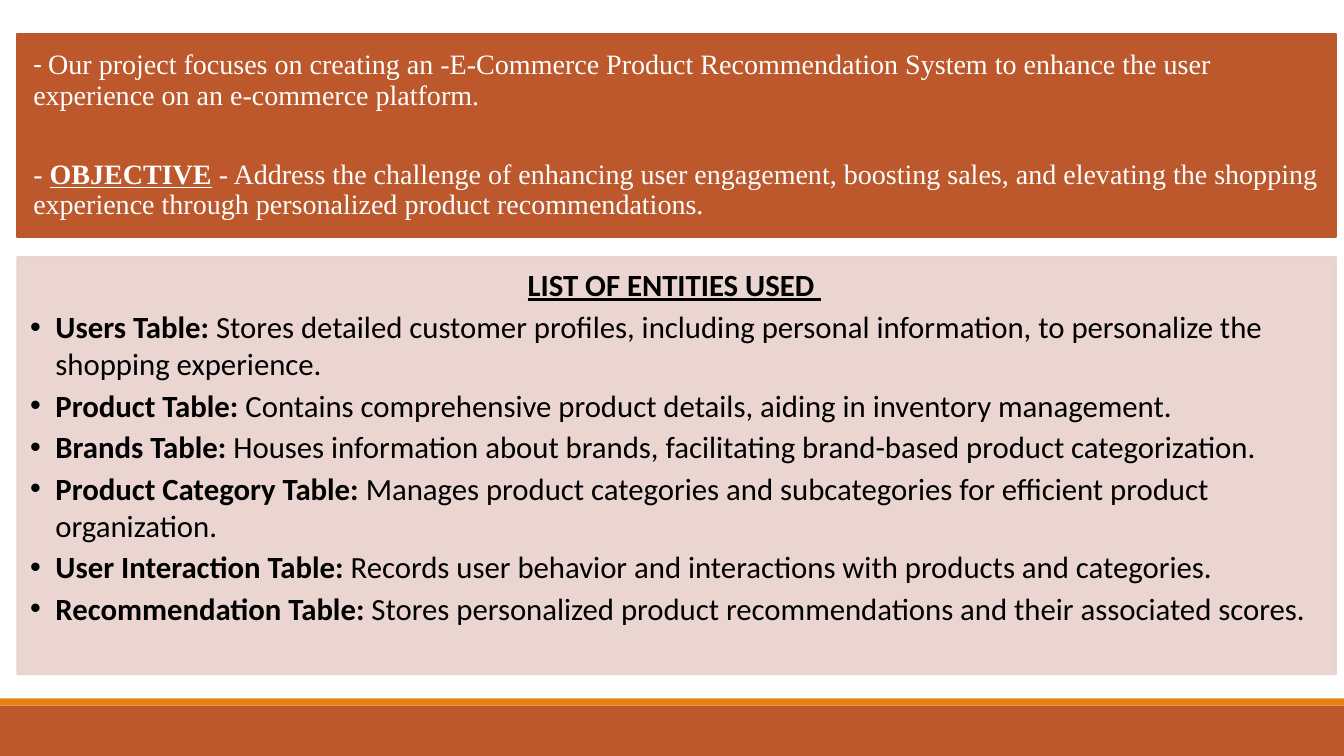
from dataclasses import dataclass

from lxml.etree import SubElement
from pptx import Presentation
from pptx.dml.color import RGBColor
from pptx.enum.shapes import MSO_SHAPE
from pptx.enum.text import MSO_ANCHOR, PP_ALIGN
from pptx.oxml.ns import qn
from pptx.shapes.autoshape import Shape
from pptx.slide import Slide
from pptx.util import Inches, Pt

RUST, AMBER, BLUSH = "BD582C", "E48312", "E8D1CD"
WHITE, BLACK = "FFFFFF", "000000"
SERIF, SANS = "Times New Roman", "Calibri"


@dataclass
class Box:
    left: float
    top: float
    width: float
    height: float
    fill: str
    line: bool = False
    alpha: int = 100


@dataclass
class Bit:
    text: str
    bold: bool = False
    under: bool = False
    face: str | None = None


@dataclass
class Para:
    bits: list[Bit]
    face: str
    size: int
    color: str
    after: float
    lead: float = 0.9
    align: PP_ALIGN = PP_ALIGN.LEFT
    bullet: bool = False


FOOT = [Box(0, 7, 13.33, 0.5, RUST), Box(0, 6.93, 13.33, 0.07, AMBER)]
INTRO = Box(0.17, 0.34, 13.08, 2.01, RUST, True)
LIST = Box(0.17, 2.55, 13.08, 4.14, BLUSH, True, 90)

GOALS = [
    Para([Bit("- ", face=SANS),
          Bit("Our project focuses on creating an -E-Commerce Product Recommendation System "
              "to enhance the user experience on an e-commerce platform.")],
         SERIF, 20, WHITE, 35),
    Para([Bit("- "), Bit("OBJECTIVE", True, True),
          Bit(" - Address the challenge of enhancing user engagement, boosting sales, and "
              "elevating the shopping experience through personalized product recommendations.")],
         SERIF, 20, WHITE, 7),
]

TABLES = {
    "Users": "Stores detailed customer profiles, including personal information, "
             "to personalize the shopping experience.",
    "Product": "Contains comprehensive product details, aiding in inventory management.",
    "Brands": "Houses information about brands, facilitating brand-based product categorization.",
    "Product Category": "Manages product categories and subcategories "
                        "for efficient product organization.",
    "User Interaction": "Records user behavior and interactions with products and categories.",
    "Recommendation": "Stores personalized product recommendations and their associated scores.",
}
HEAD = Para([Bit("LIST OF ENTITIES USED ", True, True)],
            SANS, 22, BLACK, 3.3, align=PP_ALIGN.CENTER)
ITEMS = [Para([Bit(f"{name} Table:", True), Bit(f" {use}")],
              SANS, 22, BLACK, 3.3, 1.0, bullet=True)
         for name, use in TABLES.items()]


def rgb(code: str) -> RGBColor:
    return RGBColor.from_string(code)


def draw(slide: Slide, box: Box) -> Shape:
    shape = slide.shapes.add_shape(
        MSO_SHAPE.RECTANGLE, Inches(box.left), Inches(box.top),
        Inches(box.width), Inches(box.height))
    shape.shadow.inherit = False
    shape.fill.solid()
    shape.fill.fore_color.rgb = rgb(box.fill)
    if box.line:
        shape.line.color.rgb = rgb(box.fill)
        shape.line.width = Pt(1.25)
    else:
        shape.line.fill.background()
    if box.alpha < 100:
        for node in shape._element.spPr.iter(qn("a:srgbClr")):
            SubElement(node, qn("a:alpha")).set("val", str(box.alpha * 1000))
    return shape


def write(shape: Shape, paras: list[Para], anchor: MSO_ANCHOR,
          pads: tuple[float, float, float, float]) -> None:
    frame = shape.text_frame
    frame.word_wrap = True
    frame.vertical_anchor = anchor
    (frame.margin_left, frame.margin_top,
     frame.margin_right, frame.margin_bottom) = map(Inches, pads)
    for i, para in enumerate(paras):
        line = frame.add_paragraph() if i else frame.paragraphs[0]
        line.alignment = para.align
        line.line_spacing = para.lead
        line.space_after = Pt(para.after)
        if para.bullet:
            props = line._p.get_or_add_pPr()
            props.set("marL", str(Inches(0.25)))
            props.set("indent", str(Inches(-0.25)))
            SubElement(props, qn("a:buFont")).set("typeface", "Arial")
            SubElement(props, qn("a:buChar")).set("char", "•")
        line.font.name = para.face
        line.font.size = Pt(para.size)
        line.font.color.rgb = rgb(para.color)
        for bit in para.bits:
            run = line.add_run()
            run.text = bit.text
            if bit.bold:
                run.font.bold = True
            if bit.under:
                run.font.underline = True
            if bit.face:
                run.font.name = bit.face


def main() -> None:
    deck = Presentation()
    deck.slide_width, deck.slide_height = Inches(13.33), Inches(7.5)
    slide = deck.slides.add_slide(deck.slide_layouts[6])
    for bar in FOOT:
        draw(slide, bar)
    write(draw(slide, INTRO), GOALS, MSO_ANCHOR.MIDDLE, (0.16, 0.09, 0.16, 0.09))
    write(draw(slide, LIST), [HEAD, *ITEMS], MSO_ANCHOR.TOP, (0.13, 0.13, 0.17, 0.19))
    deck.save("out.pptx")


if __name__ == "__main__":
    main()
